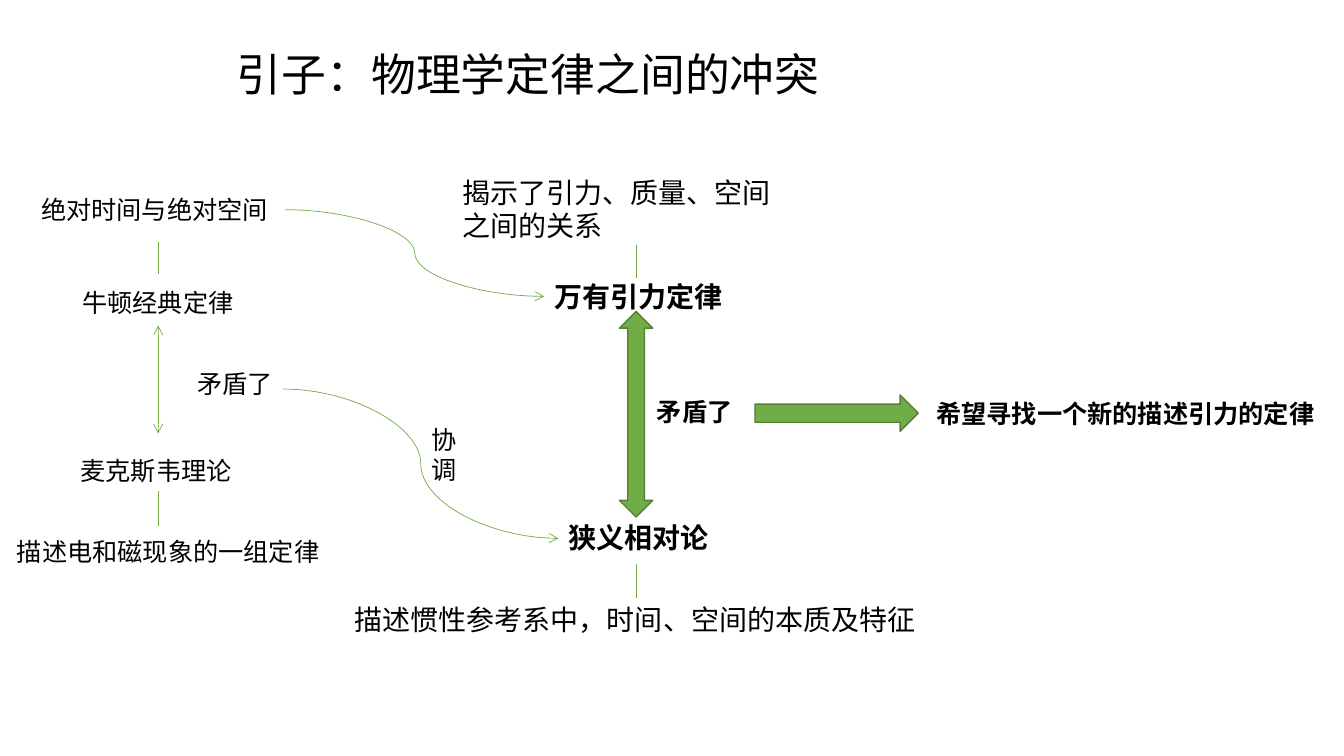
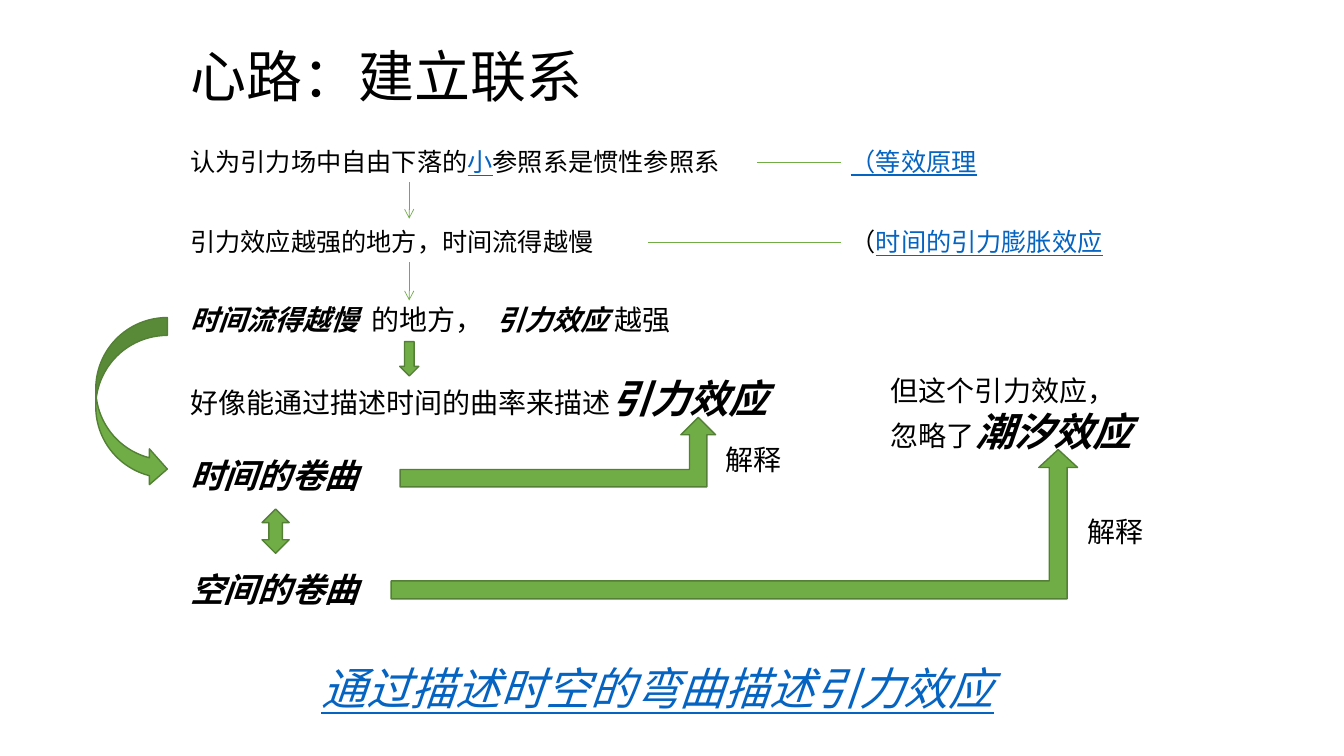
from lxml import etree
from pptx import Presentation
from pptx.dml.color import RGBColor
from pptx.enum.lang import MSO_LANGUAGE_ID
from pptx.enum.shapes import MSO_CONNECTOR, MSO_SHAPE
from pptx.enum.text import MSO_ANCHOR, MSO_AUTO_SIZE, PP_ALIGN
from pptx.oxml.ns import qn
from pptx.util import Pt

STRAIGHT, CURVE = MSO_CONNECTOR.STRAIGHT, MSO_CONNECTOR.CURVE
RIGHT, DOWN = MSO_SHAPE.RIGHT_ARROW, MSO_SHAPE.DOWN_ARROW
UP_DOWN, BENT_UP = MSO_SHAPE.UP_DOWN_ARROW, MSO_SHAPE.BENT_UP_ARROW
CURVED_RIGHT = MSO_SHAPE.CURVED_RIGHT_ARROW
CHINESE = MSO_LANGUAGE_ID.SIMPLIFIED_CHINESE
GROW = MSO_AUTO_SIZE.SHAPE_TO_FIT_TEXT
MIDDLE, LEFT = MSO_ANCHOR.MIDDLE, PP_ALIGN.LEFT

COLORS = {"text": "000000", "link": "0563C1", "arrow": "70AD47", "edge": "538035"}
ARIAL, JP, SC = "Arial", "Noto Sans CJK JP", "Noto Sans CJK SC"


def color(name):
    return RGBColor.from_string(COLORS[name])


def write(paragraph, face, pieces):
    for text, size, style in pieces:
        run = paragraph.add_run()
        run.text = text
        font = run.font
        font.name, font.size, font.language_id = face, Pt(size), CHINESE
        font.bold, font.italic = "b" in style, "i" in style
        font.underline = "u" in style
        font.color.rgb = color("link" if "u" in style else "text")
        east_asian = etree.SubElement(run._r.rPr, qn("a:ea"))
        east_asian.set("typeface", SC if face == ARIAL else face)


law_axis, gravity_axis = 113, 454.3
conflict = {
    "title": ("引子：物理学定律之间的冲突", 32, 162, 27.4, 758.9, 55.4),
    "texts": [
        (51.8, 201.6, 122.4, 28.8, ARIAL, [("牛顿经典定律", 18, "")]),
        (50.4, 321.8, 126, 28.8, ARIAL, [("麦克斯韦理论", 18, "")]),
        (388.8, 195.8, 144.7, 31.7, ARIAL, [("万有引力定律", 20, "b")]),
        (398.9, 368.6, 245.5, 31.7, ARIAL, [("狭义相对论", 20, "b")]),
        (661.7, 280.8, 287, 28.8, ARIAL, [("希望寻找一个新的描述引力的定律", 18, "b")]),
        (22.3, 135.4, 181.4, 28.8, ARIAL, [("绝对时间与绝对空间", 18, "")]),
        (5, 379.4, 244.8, 28.8, ARIAL, [("描述电和磁现象的一组定律", 18, "")]),
        (133.9, 259.2, 87.8, 28.8, ARIAL, [("矛盾了", 18, "")]),
        (301, 299.5, 36, 51.1, ARIAL, [("协调", 18, "")]),
        (462.2, 279.4, 102.2, 28.8, ARIAL, [("矛盾了", 18, "b")]),
        (323.3, 121.7, 240.5, 55.4, JP, [("揭示了引力、质量、空间之间的关系", 20, "")]),
        (246.2, 427, 429.1, 31.7, JP, [("描述惯性参考系中，时间、空间的本质及特征", 20, "")]),
    ],
    "lines": [
        (STRAIGHT, law_axis, 232.6, law_axis, 309.6, ["headEnd", "tailEnd"]),
        (STRAIGHT, law_axis, 172.8, law_axis, 195.8, []),
        (STRAIGHT, law_axis, 350.6, law_axis, 375.8, []),
        (STRAIGHT, gravity_axis, 175, gravity_axis, 198.7, []),
        (STRAIGHT, gravity_axis, 403.2, gravity_axis, 427, []),
        (CURVE, 202.3, 277.9, 398.9, 384.5, ["tailEnd"]),
        (CURVE, 203.8, 149.8, 388.8, 211.7, ["tailEnd"]),
    ],
    "arrows": [
        (RIGHT, 539.3, 282.2, 116.6, 25.9, []),
        (UP_DOWN, 442.5, 222.5, 23.8, 146.9, []),
    ],
}

margin, note_left, step_axis = 128.9, 600.5, 292.3
connection = {
    "title": ("心路：建立联系", 40, margin, 20.2, 764.6, 72.7),
    "texts": [
        (margin, 101.2, 411.8, 28.8, ARIAL, [
            ("认为引力场中自由下落的", 18, ""), ("小", 18, "u"), ("参照系是惯性参照系", 18, "")]),
        (margin, 158.4, 334.1, 28.8, ARIAL, [("引力效应越强的地方，时间流得越慢", 18, "")]),
        (margin, 212.4, 504, 31.7, JP, [
            ("时间流得越慢  ", 20, "bi"), ("的地方，  ", 20, ""),
            ("引力效应 ", 20, "bi"), ("越强", 20, "")]),
        (margin, 263.5, 437.8, 41, JP, [
            ("好像能通过描述时间的曲率来描述", 20, ""), ("引力效应", 28, "bi")]),
        (note_left, 100.8, 236.2, 28.8, ARIAL, [("（等效原理", 18, "u")]),
        (note_left, 158.4, 310.3, 28.8, ARIAL, [("（", 18, ""), ("时间的引力膨胀效应", 18, "u")]),
        (629.3, 263.5, 189.4, 65.5, JP, [
            ("但这个引力效应，忽略了", 20, ""), ("潮汐效应", 28, "bi")]),
        (margin, 321.1, 147.6, 36, SC, [("时间的卷曲", 24, "bi")]),
        (margin, 402.5, 160.6, 36, SC, [("空间的卷曲", 24, "bi")]),
        (511.2, 312.5, 88.6, 31.7, SC, [("解释", 20, "")]),
        (769.7, 364.3, 88.6, 31.7, SC, [("解释", 20, "")]),
        (222.5, 468.7, 547.2, 46.1, JP, [("通过描述时空的弯曲描述引力效应", 32, "iu")]),
    ],
    "lines": [
        (STRAIGHT, step_axis, 130.3, step_axis, 156.2, ["tailEnd"]),
        (STRAIGHT, step_axis, 187.2, step_axis, 214.6, ["tailEnd"]),
        (STRAIGHT, 540.7, 115.9, note_left, 115.9, []),
        (STRAIGHT, 463, 172.8, note_left, 172.8, []),
    ],
    "arrows": [
        (DOWN, 285.5, 244.1, 13.7, 24.5, []),
        (CURVED_RIGHT, 68.4, 226.8, 51.1, 121, []),
        (UP_DOWN, 187.2, 363.6, 19.4, 31.7, [0.5, 0.5]),
        (BENT_UP, 285.8, 298.1, 225.4, 49.7, []),
        (BENT_UP, 279.4, 321.1, 490.3, 106.6, [0.12, 0.13, 0.12]),
    ],
}

deck = Presentation()
deck.slide_width, deck.slide_height = Pt(960), Pt(540)

for content in (conflict, connection):
    slide = deck.slides.add_slide(deck.slide_layouts[5])
    heading, size, *place = content["title"]
    title = slide.shapes.title
    title.left, title.top, title.width, title.height = map(Pt, place)
    title.text_frame.vertical_anchor = MIDDLE
    paragraph = title.text_frame.paragraphs[0]
    paragraph.alignment, paragraph.line_spacing = LEFT, 0.9
    write(paragraph, JP, [(heading, size, "")])

    for *place, face, pieces in content["texts"]:
        frame = slide.shapes.add_textbox(*map(Pt, place)).text_frame
        frame.word_wrap, frame.auto_size = True, GROW
        write(frame.paragraphs[0], face, pieces)

    for kind, *ends, arrowheads in content["lines"]:
        link = slide.shapes.add_connector(kind, *map(Pt, ends))
        link.line.color.rgb, link.line.width = color("arrow"), Pt(0.5)
        for end in arrowheads:
            etree.SubElement(link.line._get_or_add_ln(), qn("a:" + end)).set("type", "arrow")
        etree.SubElement(link._element.spPr, qn("a:effectLst"))

    for kind, *place, adjustments in content["arrows"]:
        arrow = slide.shapes.add_shape(kind, *map(Pt, place))
        arrow.shadow.inherit = False
        arrow.fill.solid()
        arrow.fill.fore_color.rgb = color("arrow")
        arrow.line.color.rgb, arrow.line.width = color("edge"), Pt(1)
        for index, value in enumerate(adjustments):
            arrow.adjustments[index] = value

deck.save("out.pptx")
